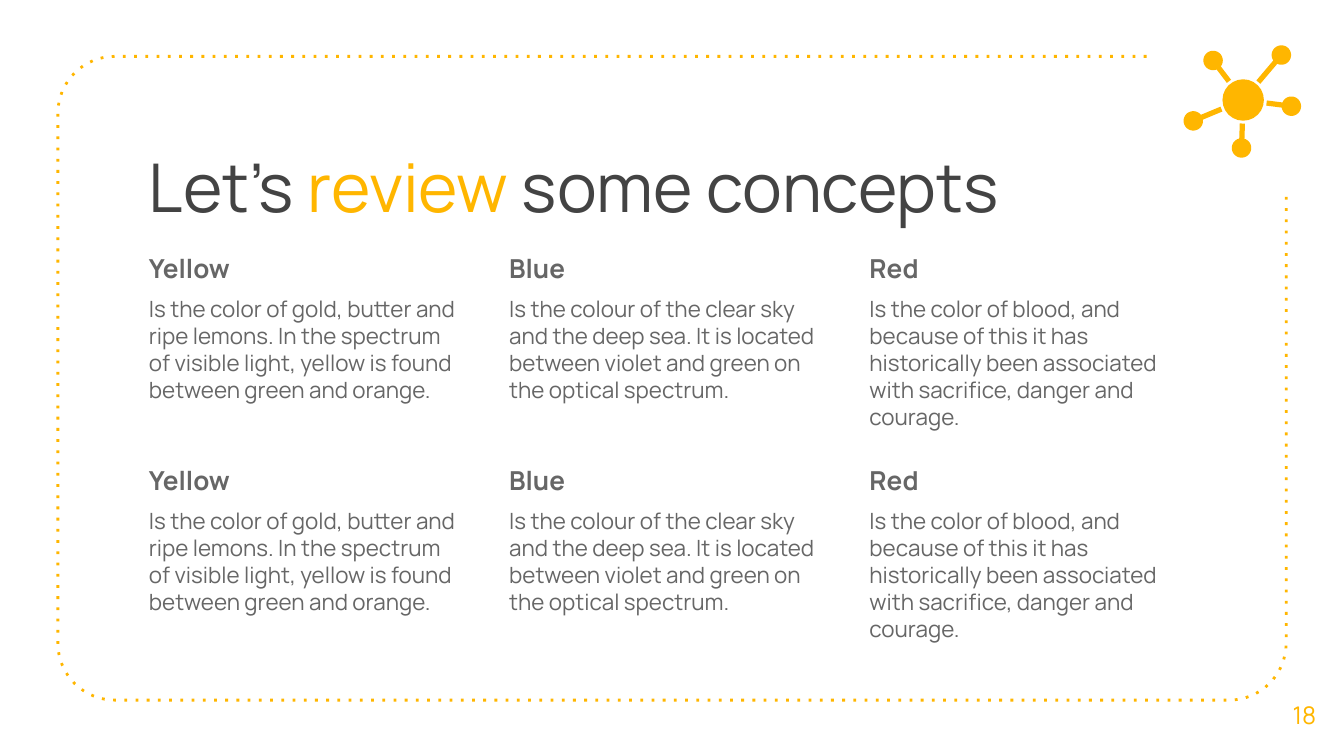
import math

import pptx
import pptx.dml.color
import pptx.enum.dml
import pptx.enum.shapes
import pptx.enum.text
import pptx.oxml.ns
import pptx.util

Pt = pptx.util.Pt

TITLE = [("Let’s ", "dark"), ("review", "accent"), (" some concepts", "dark")]
CONCEPTS = [
    ("Yellow", "Is the color of gold, butter and ripe lemons. In the spectrum "
               "of visible light, yellow is found between green and orange."),
    ("Blue", "Is the colour of the clear sky and the deep sea. It is located "
             "between violet and green on the optical spectrum."),
    ("Red", "Is the color of blood, and because of this it has historically "
            "been associated with sacrifice, danger and courage."),
]
ROWS = 2
PAGE_NUMBER = "18"

THEME = {
    "font": "Manrope",
    "accent": "FFB600", "dark": "434343", "body": "666666", "paper": "FFFFFF",
    "title_size": 36, "heading_size": 14, "text_size": 12, "number_size": 13,
}

# Layout, in points
TITLE_BOX = (72.7, 70.6, 540.7, 67.7)
NUMBER_BOX = (677.5, 361.4, 42.5, 43.2)
GRID_LEFT, GRID_TOP = 72.7, 128.2
COLUMN_STEP, ROW_STEP = 193, 113.5
CELL_WIDTH, CELL_HEIGHT = 183.6, 116.6

FRAME_LEFT, FRAME_TOP, FRAME_RIGHT, FRAME_BOTTOM = 31, 30.2, 689, 375.1
FRAME_RADIUS = 30.5
FRAME_START = (614.2, FRAME_TOP)
FRAME_END = (FRAME_RIGHT, 105.2)

HUB, HUB_RADIUS = (666, 53.6), 11.1
NODES = [(686.5, 29.5), (649.9, 32.4), (639.3, 64.8), (665.1, 79.3), (691.8, 56.9)]
NODE_RADIUS, STEM_HALF, STEM_GAP = 5.2, 1.4, 1.5


def color(name):
    return pptx.dml.color.RGBColor.from_string(THEME[name])


def arc(center, radius, start, end, steps):
    """Points along an arc; angles in radians, clockwise on the slide."""
    angles = [start + (end - start) * i / steps for i in range(steps + 1)]
    return [(center[0] + radius * math.cos(a), center[1] + radius * math.sin(a))
            for a in angles]


def add_outline(shapes, points, close):
    (x, y), *rest = [(Pt(px), Pt(py)) for px, py in points]
    builder = shapes.build_freeform(x, y, scale=1.0)
    builder.add_line_segments(rest, close=close)
    sp = builder.convert_to_shape()
    sp.shadow.inherit = False
    return sp


def fill_accent(sp):
    sp.fill.solid()
    sp.fill.fore_color.rgb = color("accent")
    sp.line.fill.background()


def add_frame(shapes):
    """Open dotted frame with three rounded corners."""
    left, right = FRAME_LEFT + FRAME_RADIUS, FRAME_RIGHT - FRAME_RADIUS
    top, bottom = FRAME_TOP + FRAME_RADIUS, FRAME_BOTTOM - FRAME_RADIUS
    quarter = math.pi / 2
    points = [FRAME_START]
    for i, center in enumerate([(left, top), (left, bottom), (right, bottom)]):
        points += arc(center, FRAME_RADIUS, -quarter * (i + 1), -quarter * (i + 2), 16)
    sp = add_outline(shapes, points + [FRAME_END], close=False)
    sp.fill.background()
    sp.line.color.rgb = color("accent")
    sp.line.width = Pt(1.5)
    sp.line.dash_style = pptx.enum.dml.MSO_LINE.ROUND_DOT
    dash = sp.line._ln.find(pptx.oxml.ns.qn("a:prstDash"))
    dash.set("val", "dot")


def add_node(shapes, node):
    """Disc whose stem points at the hub and stops just short of it."""
    dx, dy = HUB[0] - node[0], HUB[1] - node[1]
    angle = math.atan2(dy, dx)
    stem = math.hypot(dx, dy) - HUB_RADIUS - STEM_GAP
    notch = math.asin(STEM_HALF / NODE_RADIUS)
    points = arc(node, NODE_RADIUS, angle + notch, angle + 2 * math.pi - notch, 48)
    for side in (-STEM_HALF, STEM_HALF):
        points.append((node[0] + stem * math.cos(angle) - side * math.sin(angle),
                       node[1] + stem * math.sin(angle) + side * math.cos(angle)))
    fill_accent(add_outline(shapes, points, close=True))


def add_network_icon(shapes):
    icon = shapes.add_group_shape().shapes
    for node in NODES:
        add_node(icon, node)
    hub = icon.add_shape(
        pptx.enum.shapes.MSO_SHAPE.OVAL, Pt(HUB[0] - HUB_RADIUS),
        Pt(HUB[1] - HUB_RADIUS), Pt(2 * HUB_RADIUS), Pt(2 * HUB_RADIUS))
    hub.shadow.inherit = False
    fill_accent(hub)


def add_text_box(shapes, box):
    tf = shapes.add_textbox(*map(Pt, box)).text_frame
    tf.word_wrap = True
    tf.margin_left = tf.margin_right = tf.margin_top = tf.margin_bottom = Pt(7.2)
    return tf


def format_run(r, size, color_name, bold=False):
    r.font.name = THEME["font"]
    r.font.size = Pt(THEME[size])
    r.font.color.rgb = color(color_name)
    r.font.bold = bold


def add_title(shapes):
    p = add_text_box(shapes, TITLE_BOX).paragraphs[0]
    for text, color_name in TITLE:
        r = p.add_run()
        r.text = text
        format_run(r, "title_size", color_name)


def add_concept(shapes, left, top, heading, text):
    tf = add_text_box(shapes, (left, top, CELL_WIDTH, CELL_HEIGHT))
    tf.text = f"{heading}\n{text}"
    for p, size in zip(tf.paragraphs, ("heading_size", "text_size")):
        p.space_before = Pt(6)
        format_run(p.runs[0], size, "body", bold=size == "heading_size")


def add_page_number(shapes):
    tf = add_text_box(shapes, NUMBER_BOX)
    tf.vertical_anchor = pptx.enum.text.MSO_ANCHOR.MIDDLE
    tf.text = PAGE_NUMBER
    p = tf.paragraphs[0]
    p.alignment = pptx.enum.text.PP_ALIGN.CENTER
    format_run(p.runs[0], "number_size", "accent")


def main():
    prs = pptx.Presentation()
    prs.slide_width, prs.slide_height = Pt(720), Pt(405)
    s = prs.slides.add_slide(prs.slide_layouts[6])
    s.background.fill.solid()
    s.background.fill.fore_color.rgb = color("paper")

    add_frame(s.shapes)
    add_title(s.shapes)
    for row in range(ROWS):
        for column, (heading, text) in enumerate(CONCEPTS):
            add_concept(s.shapes, GRID_LEFT + column * COLUMN_STEP,
                        GRID_TOP + row * ROW_STEP, heading, text)
    add_page_number(s.shapes)
    add_network_icon(s.shapes)
    prs.save("out.pptx")


if __name__ == "__main__":
    main()
